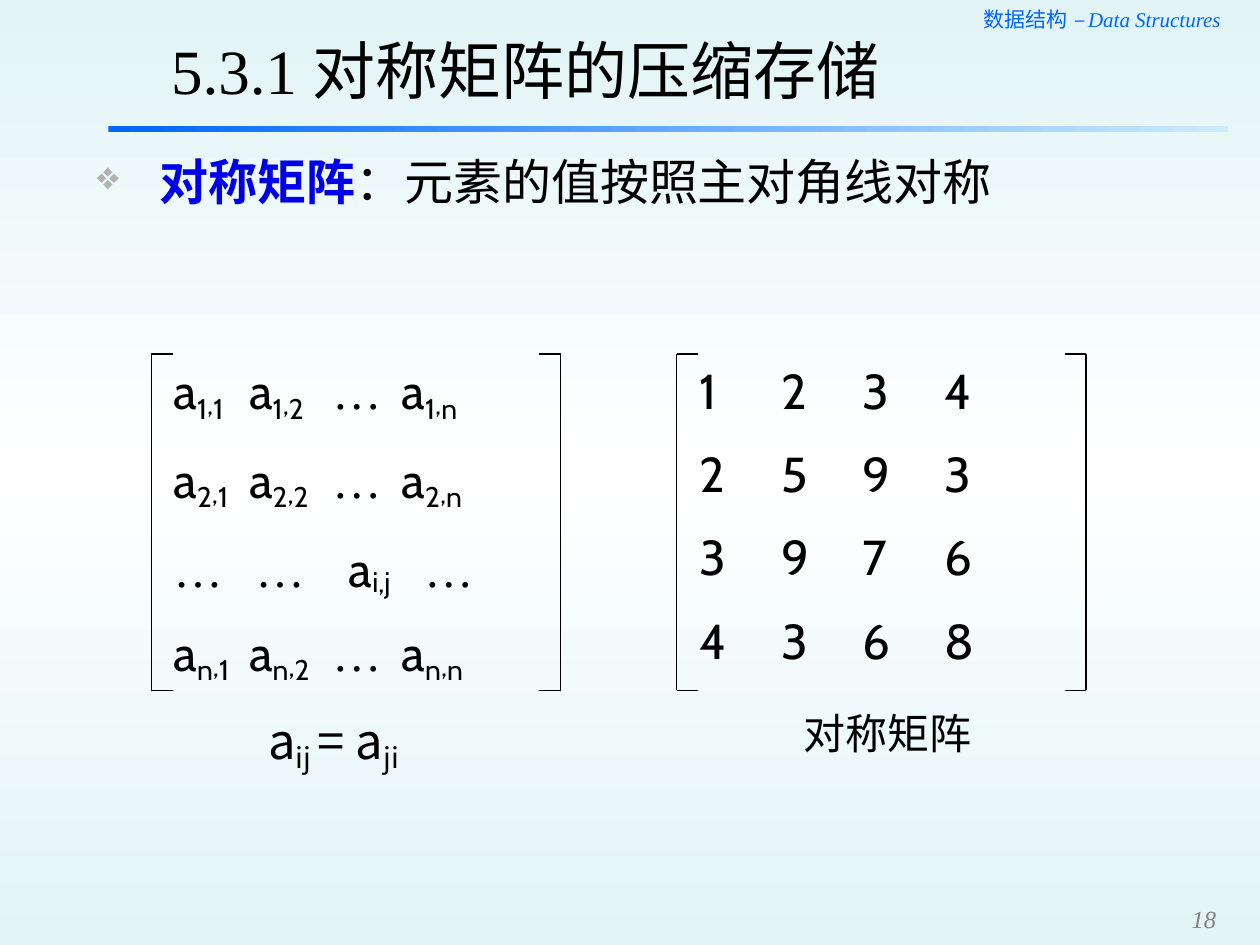
"""Build the slide on compressed storage of symmetric matrices."""
from lxml import etree
from pptx import Presentation
from pptx import util as u
from pptx.dml.color import RGBColor
from pptx.enum import shapes, text
from pptx.oxml.ns import qn

COLORS = {"ink": "000000", "blue": "0066FF", "sky": "CCECFF", "key": "0000E8",
          "bullet": "B2B2B2", "page": "808080", "mist": "E2F4F6", "white": "FFFFFF"}
TIMES, CABIN, NOTO = "Times New Roman", "Cabin", "Noto Sans CJK SC"


def child(parent, tag, **attributes):
    """Append a drawing element to its parent."""
    return etree.SubElement(parent, qn(f"a:{tag}"), **attributes)


def set_gradient(owner, fill, names, angle):
    """Give a fill evenly spaced gradient stops."""
    fill.gradient()
    fill.gradient_angle = angle
    stops = owner.element.find(".//" + qn("a:gsLst"))
    for stop in list(stops):
        stops.remove(stop)
    for index, name in enumerate(names):
        stop = child(stops, "gs", pos=str(index * 100000 // (len(names) - 1)))
        child(stop, "srgbClr", val=COLORS[name])


def add_box(canvas, left, top, width, height, anchor=text.MSO_ANCHOR.TOP, inset=0.05):
    """Add a wrapping text box and return its frame."""
    frame = canvas.add_textbox(*map(u.Inches, (left, top, width, height))).text_frame
    frame.word_wrap = True
    frame.vertical_anchor = anchor
    frame.margin_top = frame.margin_bottom = u.Inches(inset)
    return frame


def add_run(paragraph, words, size, face, color="ink", bold=False, italic=False, base=0):
    """Add one formatted run, lowered when base is negative."""
    run = paragraph.add_run()
    run.text = words
    font = run.font
    font.size, font.name, font.bold, font.italic = u.Pt(size), face, bold, italic
    font.color.rgb = RGBColor.from_string(COLORS[color])
    properties = run._r.get_or_add_rPr()
    child(properties, "ea", typeface=NOTO)
    if base:
        properties.set("baseline", str(base * 1000))


def add_bullet(paragraph):
    """Give a paragraph a hanging diamond bullet."""
    properties = paragraph._p.get_or_add_pPr()
    properties.set("marL", str(u.Inches(0.5)))
    properties.set("indent", str(u.Inches(-0.5)))
    child(child(properties, "buClr"), "srgbClr", val=COLORS["bullet"])
    child(properties, "buSzPct", val="80000")
    child(properties, "buChar", char="❖")


def add_tabs(paragraph, stops):
    """Set left tab stops for the matrix columns."""
    tabs = child(paragraph._p.get_or_add_pPr(), "tabLst")
    for stop in stops:
        child(tabs, "tab", pos=str(u.Inches(stop)), algn="l")


def add_line(canvas, start, end):
    """Add a thin black line."""
    line = canvas.add_connector(shapes.MSO_CONNECTOR.STRAIGHT,
                                *map(u.Inches, (*start, *end)))
    line.line.color.rgb = RGBColor.from_string(COLORS["ink"])
    line.line.width = u.Pt(0.75)
    child(line.element.spPr, "effectLst")


def add_entry(paragraph, entry):
    """Write a matrix entry, with its subscript after an underscore."""
    letter, _, index = entry.partition("_")
    add_run(paragraph, letter, 28, TIMES if letter.strip() == "…" else CABIN)
    if index == "i,j":
        add_run(paragraph, index, 28, CABIN, base=-10)
    elif index:
        row, column = index.split(",")
        for part, base in ((row, -20), (",", -10), (column, -20)):
            add_run(paragraph, part, 28, CABIN, base=base)


def add_matrix(slide, left, text_left, rows, row_stops):
    """Add a bracketed matrix as one group."""
    group = slide.shapes.add_group_shape().shapes
    top, bottom, width, lip = 2.81, 5.48, 3.25, 0.17
    frame = add_box(group, text_left, top, width, bottom - top)
    for number, (row, stops) in enumerate(zip(rows, row_stops)):
        paragraph = frame.add_paragraph() if number else frame.paragraphs[0]
        if number:
            paragraph.space_before = u.Pt(14)
        add_tabs(paragraph, stops)
        for column, entry in enumerate(row.split()):
            add_entry(paragraph, "\t" + entry if column else entry)
    for side, inward in ((left, lip), (left + width, -lip)):
        add_line(group, (side, top), (side, bottom))
        for edge in (top, bottom):
            add_line(group, (side, edge), (side + inward, edge))


def add_header(slide):
    """Add the course name, the title and the rule below it."""
    course = add_box(slide.shapes, 6, 0, 3.83, 0.3).paragraphs[0]
    course.alignment = text.PP_ALIGN.RIGHT
    add_run(course, "数据结构", 12, TIMES, "blue")
    add_run(course, " – Data Structures ", 12, TIMES, "blue", italic=True)
    bar = slide.shapes.add_shape(shapes.MSO_SHAPE.RECTANGLE,
                                 *map(u.Inches, (0.86, 1, 8.89, 0.05)))
    bar.shadow.inherit = False
    bar.line.fill.background()
    set_gradient(bar, bar.fill, ("blue", "sky"), 0)
    title = add_box(slide.shapes, 1.26, 0.43, 6.32, 0.46, text.MSO_ANCHOR.BOTTOM, 0.04)
    add_run(title.paragraphs[0], "5.3.1 对称矩阵的压缩存储", 36, TIMES)


def add_definition(slide):
    """Add the bulleted definition."""
    definition = add_box(slide.shapes, 0.67, 1.15, 9.17, 0.57).paragraphs[0]
    add_bullet(definition)
    add_run(definition, "对称矩阵", 28, NOTO, "key", bold=True)
    add_run(definition, "：元素的值按照主对角线对称", 28, NOTO)


def add_captions(slide):
    """Add the symmetry rule and the name below the matrices."""
    rule = add_box(slide.shapes, 2.03, 5.59, 1.92, 0.57).paragraphs[0]
    for words, base in (("a", 0), ("ij ", -18), ("= a", 0), ("ji", -18)):
        add_run(rule, words, 28, NOTO, base=base)
    name = add_box(slide.shapes, 6.28, 5.57, 1.58, 0.5).paragraphs[0]
    add_run(name, "对称矩阵", 24, CABIN)


def add_page_number(slide):
    """Add the page number."""
    page = add_box(slide.shapes, 9.08, 7.08, 0.67, 0.33,
                   text.MSO_ANCHOR.BOTTOM, 0).paragraphs[0]
    page.alignment = text.PP_ALIGN.RIGHT
    add_run(page, "18", 14, TIMES, "page", italic=True)


def main():
    """Build and save the slide."""
    deck = Presentation()
    deck.slide_width, deck.slide_height = u.Inches(10), u.Inches(7.5)
    slide = deck.slides.add_slide(deck.slide_layouts[6])
    set_gradient(slide, slide.background.fill, ("mist", "white", "mist"), 270)
    add_header(slide)
    add_definition(slide)
    general = ("a_1,1 a_1,2 … a_1,n", "a_2,1 a_2,2 … a_2,n",
               "… … a_i,j …", "a_n,1 a_n,2 … a_n,n")
    wide, dotted = (0.6, 1.26, 1.81), (0.65, 1.39, 1.99)
    add_matrix(slide, 1.2, 1.28, general, (wide, wide, dotted, wide))
    numbers = ("1 2 3 4", "2 5 9 3", "3 9 7 6", "4 3 6 8")
    add_matrix(slide, 5.37, 5.45, numbers, [(0.65, 1.3, 1.95)] * len(numbers))
    add_captions(slide)
    add_page_number(slide)
    deck.save("out.pptx")


if __name__ == "__main__":
    main()
